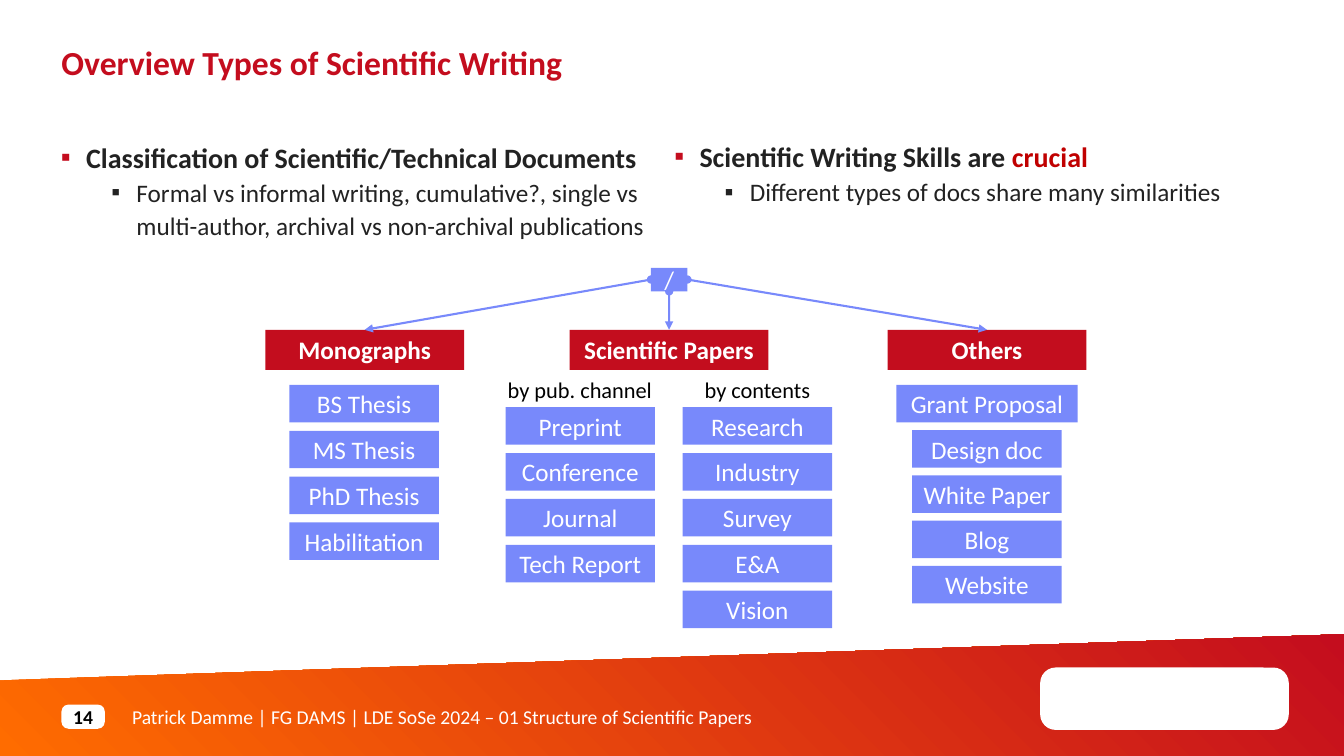
from dataclasses import dataclass

from lxml import etree
from pptx import Presentation
from pptx import util as u
from pptx.dml.color import RGBColor
from pptx.enum import shapes, text
from pptx.oxml import ns

Pt = u.Pt
FONT = "Calibri"
COLOURS = {
    "white": "FFFFFF", "black": "000000", "ink": "222222", "red": "C40D1E",
    "head": "C30D1E", "crucial": "C00000", "blue": "7889FB", "orange": "FF6C00",
}


@dataclass
class Span:
    words: str
    size: float
    colour: str = "white"
    bold: bool = False


@dataclass
class Area:
    left: float
    top: float
    width: float
    height: float


@dataclass
class Column:
    centre: float
    top: float
    step: float
    items: list[str]


def colour(name: str) -> RGBColor:
    return RGBColor.from_string(COLOURS[name])


def add_spans(para, spans: list[Span]) -> None:
    for span in spans:
        run = para.add_run()
        run.text = span.words
        run.font.name = FONT
        run.font.size = Pt(span.size)
        run.font.bold = span.bold
        run.font.color.rgb = colour(span.colour)


def set_frame(frame, anchor, wrap: bool = True) -> None:
    frame.margin_left = frame.margin_right = 0
    frame.margin_top = frame.margin_bottom = 0
    frame.vertical_anchor = anchor
    frame.word_wrap = wrap


def add_box(page, area: Area, fill: str, span: Span | None = None,
            corner: float | None = None):
    kind = shapes.MSO_SHAPE.RECTANGLE if corner is None else shapes.MSO_SHAPE.ROUNDED_RECTANGLE
    box = page.shapes.add_shape(kind, Pt(area.left), Pt(area.top), Pt(area.width), Pt(area.height))
    if corner is not None:
        box.adjustments[0] = corner
    box.shadow.inherit = False
    box.fill.solid()
    box.fill.fore_color.rgb = colour(fill)
    box.line.fill.background()
    if span:
        set_frame(box.text_frame, text.MSO_ANCHOR.MIDDLE)
        para = box.text_frame.paragraphs[0]
        para.alignment = text.PP_ALIGN.CENTER
        add_spans(para, [span])
    return box


def add_text(page, area: Area, spans: list[Span], anchor=text.MSO_ANCHOR.TOP, wrap: bool = True):
    box = page.shapes.add_textbox(Pt(area.left), Pt(area.top), Pt(area.width), Pt(area.height))
    set_frame(box.text_frame, anchor, wrap)
    para = box.text_frame.paragraphs[0]
    add_spans(para, spans)
    return box.text_frame, para


def set_bullet(para, indent: float, bullet_colour: str) -> None:
    props = para._p.get_or_add_pPr()
    props.set("marL", str(Pt(indent)))
    props.set("indent", str(-Pt(18)))
    tint = etree.SubElement(props, ns.qn("a:buClr"))
    etree.SubElement(tint, ns.qn("a:srgbClr"), val=COLOURS[bullet_colour])
    etree.SubElement(props, ns.qn("a:buFont"), typeface="Arial")
    etree.SubElement(props, ns.qn("a:buChar"), char="▪")
    para.line_spacing = Pt(24)


def add_points(page, area: Area, heading: list[Span], detail: Span) -> None:
    frame, para = add_text(page, area, heading)
    set_bullet(para, 18, "red")
    para = frame.add_paragraph()
    para.level = 1
    set_bullet(para, 54, "ink")
    add_spans(para, [detail])


def add_arrow(page):
    arrow = page.shapes.add_connector(shapes.MSO_CONNECTOR.STRAIGHT, 0, 0, 0, 0)
    arrow.line.color.rgb = colour("blue")
    arrow.line.width = Pt(1.5)
    line = arrow.line._get_or_add_ln()
    etree.SubElement(line, ns.qn("a:headEnd"), type="oval")
    etree.SubElement(line, ns.qn("a:tailEnd"), type="triangle")
    etree.SubElement(arrow._element.spPr, ns.qn("a:effectLst"))
    return arrow


def add_footer(page) -> None:
    builder = page.shapes.build_freeform(0, Pt(486))
    builder.add_line_segments([(Pt(960), Pt(453)), (Pt(960), Pt(540)), (0, Pt(540))])
    band = builder.convert_to_shape()
    band.shadow.inherit = False
    band.line.fill.background()
    band.fill.gradient()
    band.fill.gradient_angle = 45
    for stop, name in zip(band.fill.gradient_stops, ("orange", "red")):
        stop.color.rgb = colour(name)
    add_text(page, Area(94.3, 503.3, 600, 17.3),
             [Span("Patrick Damme | FG DAMS | LDE SoSe 2024 – 01 Structure of Scientific Papers", 14)],
             text.MSO_ANCHOR.MIDDLE)
    add_box(page, Area(743, 476.8, 177.6, 44.6), "white", corner=0.249)
    add_box(page, Area(43.9, 503.3, 31, 17.3), "white", Span("14", 14, "black", True), 0.295)


def add_tree(page) -> None:
    # Headings, each with the root side its arrow leaves from
    headings = [("Monographs", 260.5, 1), ("Scientific Papers", 477.9, 2), ("Others", 705, 3)]
    targets = [(add_box(page, Area(centre - 71, 235.6, 142, 28.6), "head",
                        Span(name, 18, bold=True)), side)
               for name, centre, side in headings]
    arrows = [add_arrow(page) for _ in targets]
    root = add_box(page, Area(465, 191.3, 26, 16.8), "blue", Span("/", 18))
    for arrow, (target, side) in zip(arrows, targets):
        arrow.begin_connect(root, side)
        arrow.end_connect(target, 0)

    # Columns of document types
    columns = [
        Column(260.1, 275, 32.7, ["BS Thesis", "MS Thesis", "PhD Thesis", "Habilitation"]),
        Column(414.5, 290.9, 32.75, ["Preprint", "Conference", "Journal", "Tech Report"]),
        Column(541, 290.9, 32.75, ["Research", "Industry", "Survey", "E&A", "Vision"]),
        Column(705, 275, 32.3,
               ["Grant Proposal", "Design doc", "White Paper", "Blog", "Website"]),
    ]
    for column in columns:
        for row, name in enumerate(column.items):
            width = 129.4 if name == "Grant Proposal" else 106.8
            add_box(page, Area(column.centre - width / 2, column.top + row * column.step,
                               width, 26.8), "blue", Span(name, 18))

    # Labels above the two paper columns
    for name, centre in (("by pub. channel", 414.2), ("by contents", 541)):
        _, para = add_text(page, Area(centre - 55, 268.6, 110, 19.4),
                           [Span(name, 16, "black")], wrap=False)
        para.alignment = text.PP_ALIGN.CENTER


def main() -> None:
    deck = Presentation()
    deck.slide_width, deck.slide_height = Pt(960), Pt(540)
    page = deck.slides.add_slide(deck.slide_layouts[6])

    add_footer(page)

    # Title and the two bullet lists
    _, title = add_text(page, Area(43.9, 31, 654.5, 56),
                        [Span("Overview Types of Scientific Writing", 24, "red", True)])
    title.line_spacing = Pt(28)
    add_points(page, Area(43.5, 100, 436.3, 74),
               [Span("Classification of Scientific/Technical Documents", 20, "ink", True)],
               Span("Formal vs informal writing, cumulative?, single vs multi-author, "
                    "archival vs non-archival publications", 18, "ink"))
    add_points(page, Area(481.7, 99.5, 436.3, 74),
               [Span("Scientific Writing Skills are ", 20, "ink", True),
                Span("crucial", 20, "crucial", True)],
               Span("Different types of docs share many similarities", 18, "ink"))

    add_tree(page)
    deck.save("out.pptx")


if __name__ == "__main__":
    main()
